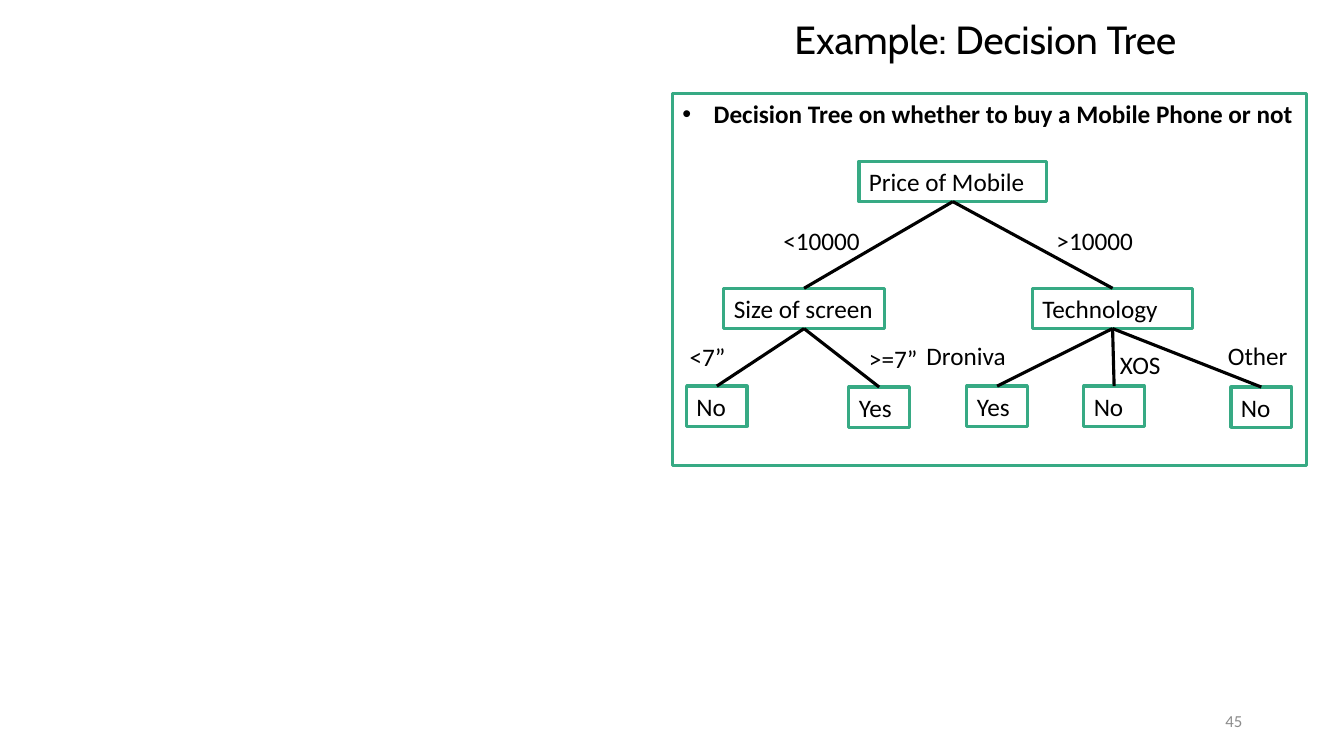
import pptx
import pptx.dml.color
import pptx.enum.shapes
import pptx.enum.text
import pptx.oxml.ns
import pptx.util
from lxml import etree

Inches = pptx.util.Inches
Pt = pptx.util.Pt
ALIGN = pptx.enum.text.PP_ALIGN
ANCHOR = pptx.enum.text.MSO_ANCHOR

GREEN, BLACK, WHITE, GRAY = "37AA84", "000000", "FFFFFF", "8C8C8C"
LINE_WIDTH = 2.25
ROW_HEIGHT = 0.4
LEAF_WIDTH = 0.6
TOP, BOTTOM = 0, 2  # connection sites of a rectangle

# key: text, left, top, width
NODES = {
    "price": ("Price of Mobile", 8.52, 1.6, 1.86),
    "screen": ("Size of screen", 7.18, 2.86, 1.59),
    "technology": ("Technology", 10.24, 2.86, 1.59),
    "small": ("No", 6.81, 3.83, LEAF_WIDTH),
    "large": ("Yes", 8.42, 3.84, LEAF_WIDTH),
    "first system": ("Yes", 9.59, 3.83, LEAF_WIDTH),
    "second system": ("No", 10.75, 3.83, LEAF_WIDTH),
    "other system": ("No", 12.21, 3.84, LEAF_WIDTH),
}

# parent, child, then the branch label: text, left, top, width
BRANCHES = [
    ("price", "screen", "<10000", 7.67, 2.19, 1.22),
    ("price", "technology", ">10000", 10.38, 2.19, 1.22),
    ("screen", "small", "<7”", 6.74, 3.34, 0.71),
    ("screen", "large", ">=7”", 8.52, 3.36, 0.71),
    ("technology", "first system", "Droniva", 9.09, 3.33, 1.09),
    ("technology", "second system", "XOS", 11.01, 3.42, 0.64),
    ("technology", "other system", "Other", 12.08, 3.33, 0.81),
]


def rgb(color):
    return pptx.dml.color.RGBColor.from_string(color)


def write(shape, text, size=18, color=BLACK, font="Calibri", bold=False,
          align=ALIGN.LEFT, anchor=ANCHOR.TOP):
    frame = shape.text_frame
    frame.word_wrap = True
    frame.auto_size = pptx.enum.text.MSO_AUTO_SIZE.NONE
    frame.vertical_anchor = anchor
    frame.text = text
    paragraph = frame.paragraphs[0]
    paragraph.alignment = align
    paragraph.font.name = font
    paragraph.font.size = Pt(size)
    paragraph.font.bold = bold
    paragraph.font.color.rgb = rgb(color)
    return paragraph


def add_title(slide, text):
    title = slide.shapes.title
    title.left, title.top = Inches(6.67), Inches(0.15)
    title.width, title.height = Inches(6.29), Inches(0.61)
    paragraph = write(title, text, size=28, font="Cabin", align=ALIGN.CENTER)
    paragraph.line_spacing = 0.9


def add_box(shapes, left, top, width, height, fill=None):
    box = shapes.add_shape(pptx.enum.shapes.MSO_SHAPE.RECTANGLE, Inches(left),
                           Inches(top), Inches(width), Inches(height))
    box.shadow.inherit = False
    if fill:
        box.fill.solid()
        box.fill.fore_color.rgb = rgb(fill)
    else:
        box.fill.background()
    box.line.color.rgb = rgb(GREEN)
    box.line.width = Pt(LINE_WIDTH)
    return box


def add_label(shapes, text, left, top, width, **style):
    label = shapes.add_textbox(Inches(left), Inches(top), Inches(width),
                               Inches(ROW_HEIGHT))
    write(label, text, **style)


def add_branch(shapes, parent, child):
    branch = shapes.add_connector(pptx.enum.shapes.MSO_CONNECTOR.STRAIGHT,
                                  0, 0, 0, 0)
    branch.begin_connect(parent, BOTTOM)
    branch.end_connect(child, TOP)
    branch.line.color.rgb = rgb(BLACK)
    branch.line.width = Pt(LINE_WIDTH)
    etree.SubElement(branch._element.spPr, pptx.oxml.ns.qn("a:effectLst"))


def add_bullet(paragraph, indent):
    properties = paragraph._p.get_or_add_pPr()
    properties.set("marL", str(Inches(indent)))
    properties.set("indent", str(-Inches(indent)))
    for tag, key, value in (("a:buFont", "typeface", "Arial"),
                            ("a:buChar", "char", "•")):
        bullet_part = properties.makeelement(pptx.oxml.ns.qn(tag), {key: value})
        properties.insert_element_before(bullet_part, "a:tabLst", "a:defRPr",
                                         "a:extLst")


def main():
    deck = pptx.Presentation()
    deck.slide_width, deck.slide_height = Inches(13.33), Inches(7.5)
    slide = deck.slides.add_slide(deck.slide_layouts[5])
    add_title(slide, "Example: Decision Tree ")

    # Panel with the question
    tree = slide.shapes.add_group_shape().shapes
    panel = add_box(tree, 6.67, 0.93, 6.29, 3.69)
    question = write(panel, "Decision Tree on whether to buy a Mobile Phone or not",
                     bold=True)
    add_bullet(question, 0.31)

    # Decisions and outcomes
    nodes = {}
    for key, (text, left, top, width) in NODES.items():
        fill = WHITE if key == "price" else None
        nodes[key] = add_box(tree, left, top, width, ROW_HEIGHT, fill)
        write(nodes[key], text)

    # Branches with their conditions
    for parent, child, *condition in BRANCHES:
        add_branch(tree, nodes[parent], nodes[child])
        add_label(tree, *condition)

    # Page number
    add_label(slide.shapes, "45", 9.42, 6.95, 3, size=12, color=GRAY,
              align=ALIGN.RIGHT, anchor=ANCHOR.MIDDLE)
    deck.save("out.pptx")


if __name__ == "__main__":
    main()
